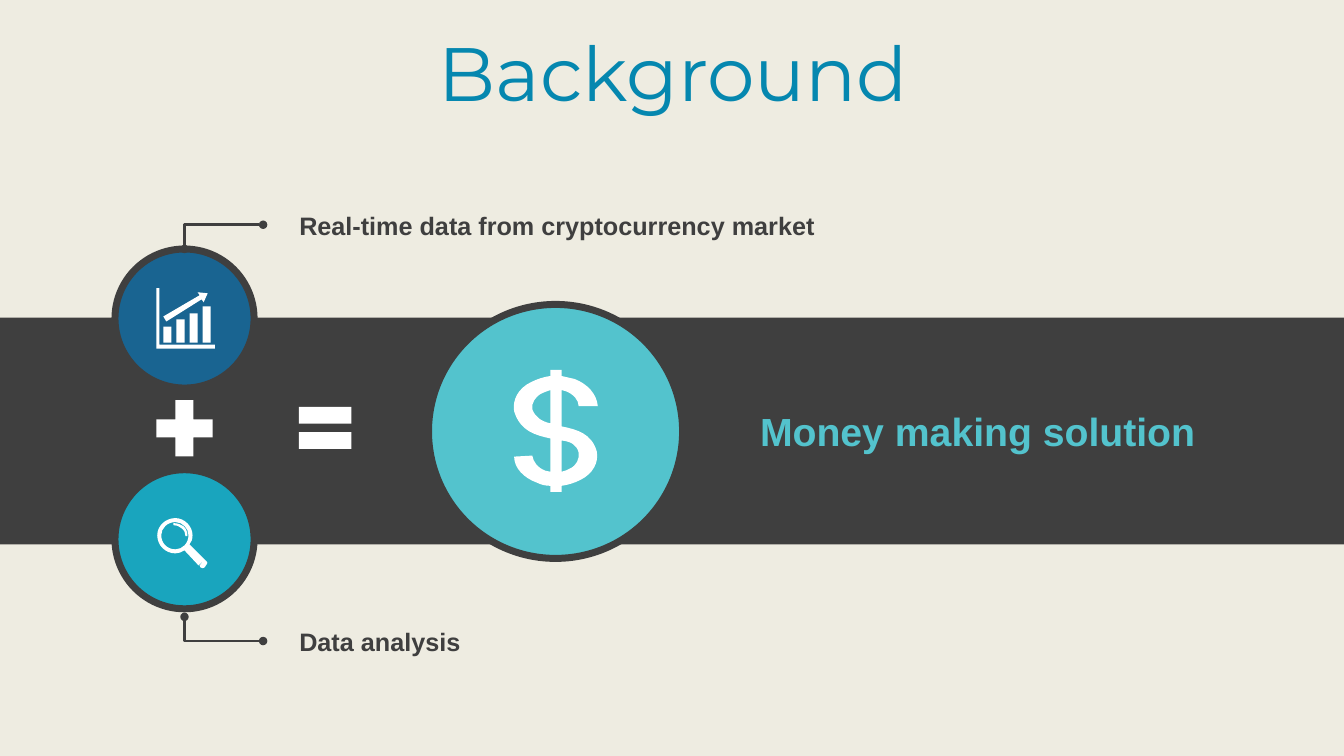
from lxml import etree
from pptx import Presentation
from pptx.dml.color import RGBColor
from pptx.enum.shapes import MSO_CONNECTOR, MSO_SHAPE
from pptx.enum.text import MSO_ANCHOR, PP_ALIGN
from pptx.oxml.ns import qn
from pptx.util import Inches, Pt

OVAL, RECT = MSO_SHAPE.OVAL, MSO_SHAPE.RECTANGLE
PLUS, EQUAL = MSO_SHAPE.MATH_PLUS, MSO_SHAPE.MATH_EQUAL
ELBOW = MSO_CONNECTOR.ELBOW
MIDDLE, TOP = MSO_ANCHOR.MIDDLE, MSO_ANCHOR.TOP
CENTER, LEFT = PP_ALIGN.CENTER, PP_ALIGN.LEFT

CREAM, DARK, WHITE = "EEECE1", "3F3F3F", "FFFFFF"
NAVY, TEAL, AQUA, BLUE = "196491", "19A5BE", "53C3CD", "0587AF"
WIDE, HIGH = 13.33, 7.5

# Icon outlines in hundredths of an inch from the icon's corner
DOLLAR = """
M 47 70 L 47 101 C 50 100 52 100 55 98 C 62 95 65 88 64 82 C 62 74 56 71 47 70
M 36 20 C 33 21 30 22 28 23 C 21 26 17 33 18 39 C 21 47 27 51 36 53
M 36 0 L 47 0 L 47 6 C 51 7 56 8 60 9 C 73 14 82 24 83 36 L 64 36
C 64 30 59 24 51 21 C 50 21 48 20 47 20 L 47 56 C 62 59 77 63 82 81
C 84 92 78 103 66 109 C 60 112 54 114 47 115 L 47 121 L 36 121 L 36 115
C 31 115 27 114 23 112 C 9 107 0 97 0 86 L 18 85 C 19 91 23 97 31 100
C 33 100 34 101 36 101 L 36 68 C 22 65 6 61 0 41 C -2 30 4 18 17 12
C 23 9 29 7 36 6
"""
LENS = """
M 47 41 L 49 43 C 50 44 50 45 49 46 L 47 49 C 46 50 44 50 43 49
C 43 48 42 48 42 47
M 16 5 C 20 5 23 6 26 8 C 29 11 30 14 30 18 L 28 18 C 28 15 27 12 24 10
C 22 8 19 7 16 7
M 18 4 C 10 4 4 10 4 17 C 4 25 10 31 18 31 C 25 31 31 25 31 17
C 31 10 25 4 18 4
M 18 0 C 27 0 35 8 35 17 C 35 21 34 24 32 26 L 47 41 L 41 47 L 27 32
C 24 34 21 35 18 35 C 8 35 0 27 0 17 C 0 8 8 0 18 0
"""
BARS = "".join(
    f"M {x} {top} L {x + 8} {top} L {x + 8} 54 L {x} 54 "
    for x, top in zip(range(7, 60, 13), (38, 31, 25, 18)))
GRAPH = BARS + """
M 41 4 L 51 5 L 47 14 L 45 11 L 10 33 L 7 28 L 43 7
M 0 0 L 3 0 L 3 56 L 58 56 L 58 60 L 0 60
"""


def color(code):
    return RGBColor.from_string(code)


def paint(shape, fill, line=None):
    shape.shadow.inherit = False
    shape.fill.solid()
    shape.fill.fore_color.rgb = color(fill)
    if line:
        shape.line.color.rgb = color(line)
        shape.line.width = Pt(5)
    else:
        shape.line.fill.background()


def add_form(slide, kind, box, fill, line=None, adjust=()):
    shape = slide.shapes.add_shape(kind, *map(Inches, box))
    for i, value in enumerate(adjust):
        shape.adjustments[i] = value
    paint(shape, fill, line)


def add_text(slide, box, text, size, code, font="Arial", bold=True,
             align=LEFT, anchor=TOP, space=None):
    frame = slide.shapes.add_textbox(*map(Inches, box)).text_frame
    frame.word_wrap = True
    frame.vertical_anchor = anchor
    para = frame.paragraphs[0]
    para.alignment = align
    para.line_spacing = space
    run = para.add_run()
    run.text = text
    run.font.name = font
    run.font.size = Pt(size)
    run.font.bold = bold
    run.font.color.rgb = color(code)


def bend(shape, marks):
    """Merge the three lines that stand for each curve into one Bézier."""
    lines = iter(list(shape._element.spPr.iter(qn("a:lnTo"))))
    for mark in marks:
        first = next(lines)
        if mark == "C":
            first.tag = qn("a:cubicBezTo")
            for line in (next(lines), next(lines)):
                first.append(line[0])
                line.getparent().remove(line)


def add_icon(slide, left, top, drawing):
    build = None
    for outline in drawing.split("M")[1:]:
        nums = [float(word) for word in outline.split() if word not in "LC"]
        points = [(Inches(left + x / 100), Inches(top + y / 100))
                  for x, y in zip(nums[::2], nums[1::2])]
        if build is None:
            build = slide.shapes.build_freeform(*points[0])
        else:
            build.move_to(*points[0])
        build.add_line_segments(points[1:], close=True)
    shape = build.convert_to_shape()
    bend(shape, [mark for mark in drawing if mark in "LC"])
    paint(shape, WHITE)


def add_lead(slide, start, end):
    """One-bend line with a dot at either end."""
    lead = slide.shapes.add_connector(ELBOW, *map(Inches, start + end))
    lead.line.color.rgb = color(DARK)
    lead.line.width = Pt(2)
    props = lead._element.spPr
    props.find(qn("a:prstGeom")).set("prst", "bentConnector2")
    for name in ("a:headEnd", "a:tailEnd"):
        etree.SubElement(props.find(qn("a:ln")), qn(name), type="oval")
    etree.SubElement(props, qn("a:effectLst"))


def add_title(slide, box):
    add_text(slide, box, "Background", 54, BLUE, "Montserrat", False,
             CENTER, MIDDLE, 0.9)


def add_inputs(slide, box):
    """Two sources joined by a plus, each with a label led out of its circle."""
    left, top, width, height = box
    mid, size = left + width / 2, width
    add_form(slide, OVAL, (left, top, size, size), NAVY, DARK)
    add_form(slide, OVAL, (left, top + height - size, size, size), TEAL, DARK)
    add_form(slide, PLUS, (mid - 0.38, top + 1.4, 0.76, 0.76), WHITE,
             adjust=(0.235,))
    add_icon(slide, left + 0.41, top + 0.39, GRAPH)
    add_icon(slide, left + 0.42, top + 2.67, LENS)
    labels = (
        ("Real-time data from cryptocurrency market", top, -0.24, -0.43, 5.54),
        ("Data analysis", top + height + 0.08, 0.24, 0.04, 4.29),
    )
    for text, edge, rise, drop, span in labels:
        add_lead(slide, (mid + 0.78, edge + rise), (mid, edge))
        add_text(slide, (left + 1.73, edge + drop, span, 0.4), text, 18, DARK)


def add_result(slide, box):
    """Equals sign, money circle and outcome on the dark band."""
    left, top, width, height = box
    add_form(slide, EQUAL, (left + 2.87, top + 0.74, 0.71, 0.71), WHITE,
             adjust=(0.235, 0.118))
    add_form(slide, OVAL, (left + 4.25, top - 0.13, 2.52, 2.52), AQUA, DARK)
    add_icon(slide, left + 5.1, top + 0.52, DOLLAR)
    add_text(slide, (left + 7.44, top + 0.84, 5, 0.57),
             "Money making solution", 28, AQUA)


def main():
    deck = Presentation()
    deck.slide_width, deck.slide_height = Inches(WIDE), Inches(HIGH)
    slide = deck.slides.add_slide(deck.slide_layouts[6])
    slide.background.fill.solid()
    slide.background.fill.fore_color.rgb = color(CREAM)
    band = (0, 3.15, WIDE, 2.25)
    add_form(slide, RECT, band, DARK)
    add_title(slide, (0.35, 0.37, 12.66, 0.79))
    add_inputs(slide, (1.14, 2.47, 1.38, 3.57))
    add_result(slide, band)
    deck.save("out.pptx")


if __name__ == "__main__":
    main()
